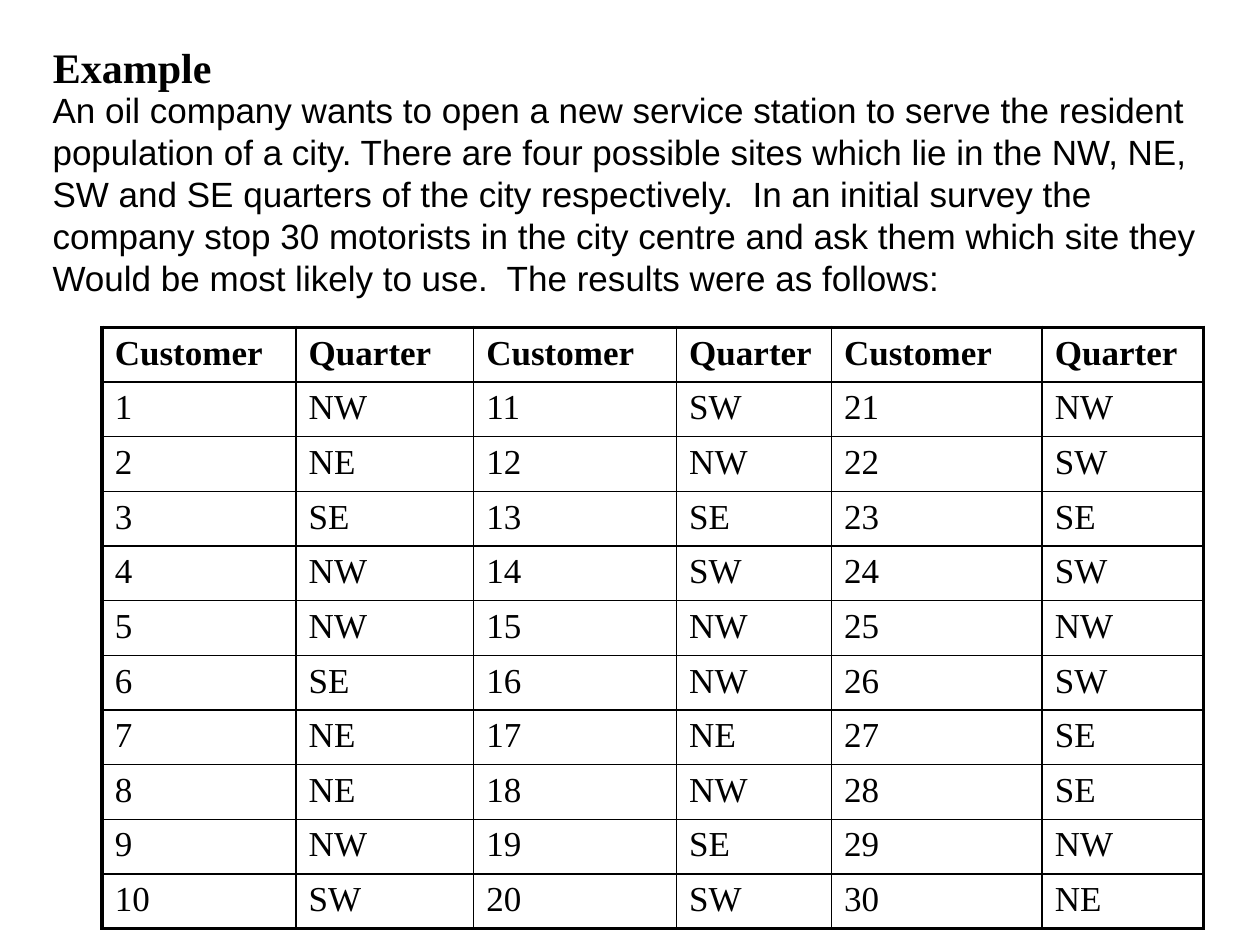
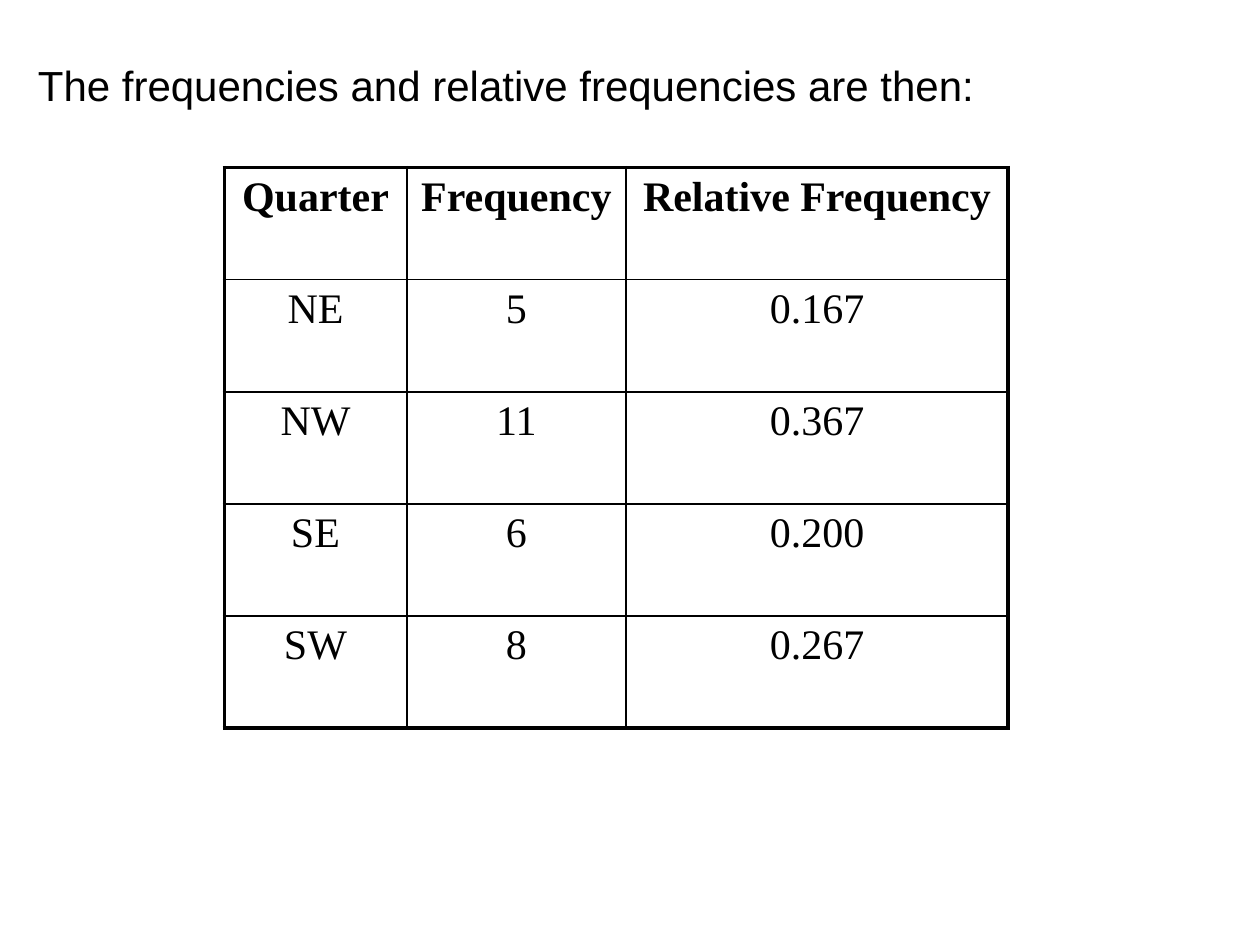
from lxml.etree import SubElement
from pptx import Presentation
from pptx.dml.color import RGBColor
from pptx.enum.text import MSO_ANCHOR as Anchor, MSO_AUTO_SIZE as AutoSize, PP_ALIGN as Align
from pptx.oxml.ns import qn
from pptx.util import Cm, Pt

BLACK = "000000"
SERIF, SANS = "Times New Roman", "Arial"
OUTER, INNER = 2.25, 1  # rule widths in points
TEXT_WIDTH = 23.7


def style(paragraph, face, size, bold=False, align=Align.LEFT, color=BLACK):
    paragraph.alignment = align
    font = paragraph.font
    font.name, font.size, font.bold = face, Pt(size), bold
    font.color.rgb = RGBColor.from_string(color)


def add_ruled_table(slide, rows, left, top, widths, row_height, size, align):
    """Table with a heavy frame, thin inner rules and a bold first row."""
    last_row, last_col = len(rows) - 1, len(widths) - 1
    table = slide.shapes.add_table(
        len(rows), len(widths), Cm(left), Cm(top),
        Cm(sum(widths)), Cm(row_height * len(rows))).table
    table.horz_banding = False
    for column, width in zip(table.columns, widths):
        column.width = Cm(width)
    for r, values in enumerate(rows):
        table.rows[r].height = Cm(row_height)
        for c, value in enumerate(values):
            cell = table.cell(r, c)
            cell.text = str(value)
            style(cell.text_frame.paragraphs[0], SERIF, size, r == 0, align)
            on_frame = {"lnL": c == 0, "lnR": c == last_col,
                        "lnT": r == 0, "lnB": r == last_row}
            properties = cell._tc.get_or_add_tcPr()
            for side, outer in on_frame.items():
                rule = SubElement(properties, qn(f"a:{side}"),
                                  w=str(Pt(OUTER if outer else INNER)))
                fill = SubElement(rule, qn("a:solidFill"))
                SubElement(fill, qn("a:srgbClr"), val=BLACK)
            cell.fill.background()


prs = Presentation()
prs.slide_width, prs.slide_height = Cm(25.4), Cm(19.05)
title_only = prs.slide_layouts[5]

# Titles of both slides: text, font, left, top
headings = [
    ("Example", SERIF, True, 0.81, 0.71),
    ("The frequencies and relative frequencies are then:", SANS, False, 0.51, 1.08),
]
slides = []
for text, face, bold, left, top in headings:
    slide = prs.slides.add_slide(title_only)
    title = slide.shapes.title
    title.left, title.top = Cm(left), Cm(top)
    title.width, title.height = Cm(TEXT_WIDTH), Cm(1.27)
    title.text_frame.text = text
    title.text_frame.auto_size = AutoSize.NONE
    title.text_frame.vertical_anchor = Anchor.TOP
    style(title.text_frame.paragraphs[0], face, 24, bold)
    slides.append(slide)
survey_slide, frequency_slide = slides

# Survey description
description = [
    "An oil company wants to open a new service station to serve the resident",
    "population of a city. There are four possible sites which lie in the NW, NE,",
    "SW and SE quarters of the city respectively.  In an initial survey the",
    "company stop 30 motorists in the city centre and ask them which site they",
    "Would be most likely to use.  The results were as follows:",
]
survey_text = survey_slide.shapes.add_textbox(
    Cm(0.81), Cm(1.79), Cm(TEXT_WIDTH), Cm(4.2)).text_frame
survey_text.word_wrap = False
survey_text.margin_top = 0
survey_text.text = "\n".join(description)
for line in survey_text.paragraphs:
    style(line, SANS, 20)

# Survey answers: customers numbered down three pairs of columns
answers = [
    "NW NE SE NW NW SE NE NE NW SW".split(),
    "SW NW SE SW NW NW NE NW SE SW".split(),
    "NW SW SE SW NW SW SE SE NW NE".split(),
]
survey_rows = [["Customer", "Quarter"] * len(answers)]
for i in range(10):
    row = []
    for block, quarters in enumerate(answers):
        row += [block * 10 + i + 1, quarters[i]]
    survey_rows.append(row)
add_ruled_table(survey_slide, survey_rows, 2.06, 6.6,
                [3.91, 3.58, 4.09, 3.12, 4.25, 3.25], 1.1, 20, Align.LEFT)

# Frequencies, and their share of all answers
counts = {"NE": 5, "NW": 11, "SE": 6, "SW": 8}
total = sum(counts.values())
frequency_rows = [["Quarter", "Frequency", "Relative Frequency"]]
for quarter, count in counts.items():
    frequency_rows.append([quarter, count, f"{count / total:.3f}"])
add_ruled_table(frequency_slide, frequency_rows, 4.52, 3.38,
                [3.68, 4.42, 7.7], 2.26, 24, Align.CENTER)

prs.save("out.pptx")
